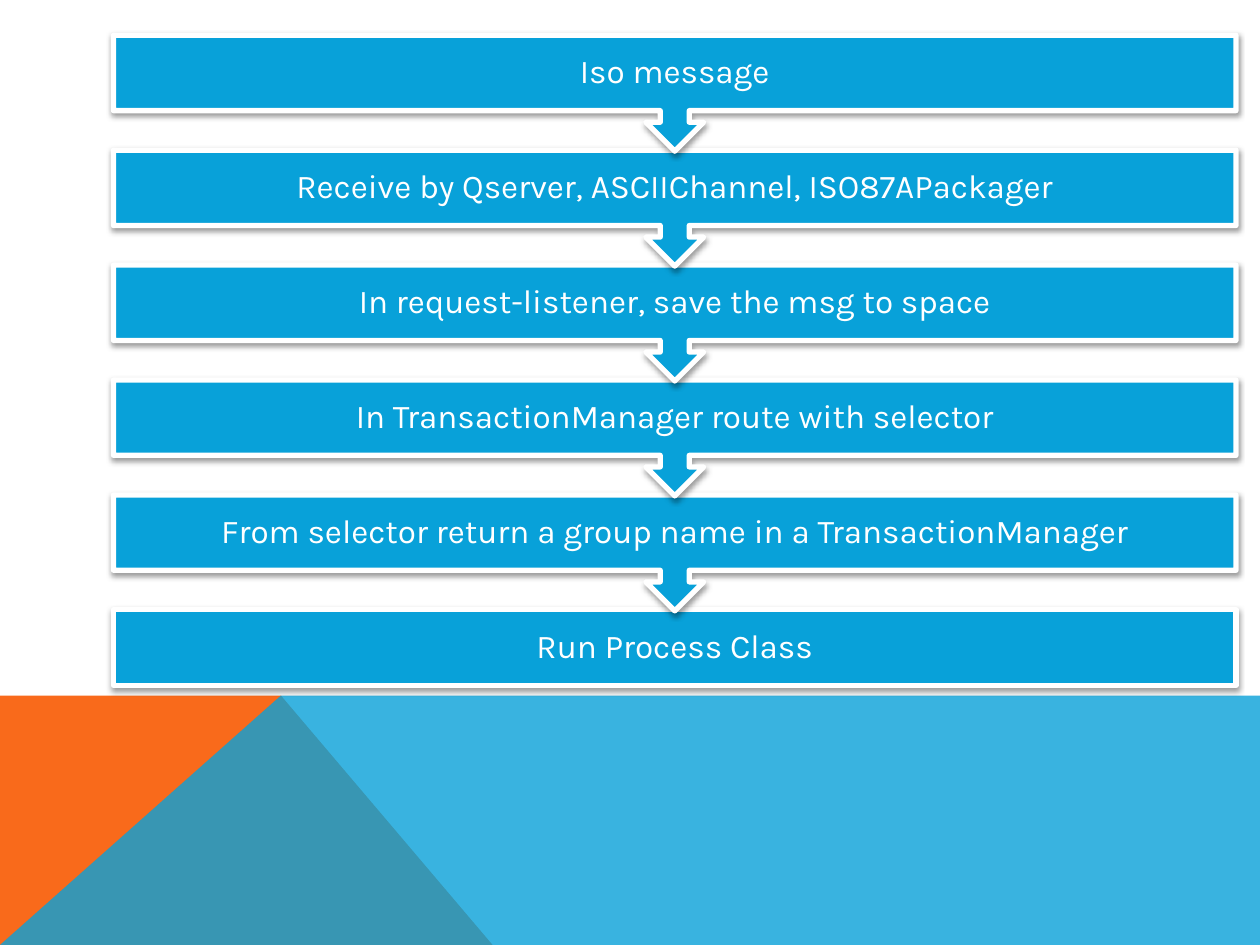
from lxml.etree import SubElement
from pptx import Presentation
from pptx.dml.color import RGBColor
from pptx.enum.shapes import MSO_SHAPE
from pptx.enum.text import MSO_ANCHOR, PP_ALIGN
from pptx.oxml.ns import qn
from pptx.util import Inches, Pt

BLUE, ORANGE, WHITE = "08A1D9", "F96A1B", "FFFFFF"
STEPS = [
    "Iso message",
    "Receive by Qserver, ASCIIChannel, ISO87APackager",
    "In request-listener, save the msg to space",
    "In TransactionManager route with selector",
    "From selector return a group name in a TransactionManager",
    "Run Process Class",
]


def color(hex_value):
    return RGBColor.from_string(hex_value)


def paint(shape, fill, line=None, width=0, alpha=None):
    shape.fill.solid()
    shape.fill.fore_color.rgb = color(fill)
    if alpha:
        fill_color = shape.fill._xPr.find(qn("a:solidFill"))[0]
        SubElement(fill_color, qn("a:alpha"), val=str(alpha * 1000))
    if line:
        shape.line.color.rgb = color(line)
        shape.line.width = Pt(width)
    else:
        shape.line.fill.background()
    shape.shadow.inherit = False


def add_soft_shadow(shape):
    effects = shape._element.spPr.find(qn("a:effectLst"))
    shadow = SubElement(effects, qn("a:outerShdw"), blurRad=str(Pt(3.1)),
                        dist=str(Pt(1.6)), dir="5400000", rotWithShape="0")
    shadow_color = SubElement(shadow, qn("a:srgbClr"), val="000000")
    SubElement(shadow_color, qn("a:alpha"), val="38000")


def add_text(shapes, text, left, top, width, height, size=19, font="Karla",
             fill=WHITE, inset=0.15, spacing=0.9):
    box = shapes.add_textbox(Inches(left), Inches(top), Inches(width), Inches(height))
    frame = box.text_frame
    frame.word_wrap = True
    frame.vertical_anchor = MSO_ANCHOR.MIDDLE
    frame.margin_left = frame.margin_right = Inches(inset)
    frame.margin_top = frame.margin_bottom = Inches(inset)
    paragraph = frame.paragraphs[0]
    paragraph.alignment = PP_ALIGN.CENTER
    paragraph.line_spacing = spacing
    run = paragraph.add_run()
    run.text = text
    run.font.size = Pt(size)
    run.font.name = font
    run.font.color.rgb = color(fill)


def add_polygon(shapes, points, fill, alpha=None):
    start, *others = [(Inches(x), Inches(y)) for x, y in points]
    builder = shapes.build_freeform(*start, scale=1.0)
    builder.add_line_segments(others, close=True)
    paint(builder.convert_to_shape(), fill, alpha=alpha)


def add_footer_band(shapes, left, top, width, height):
    right, bottom = left + width, top + height
    peak = (left + 2.23, top)
    add_polygon(shapes, [(left, bottom), (left, top), peak, (left + 3.91, bottom)], ORANGE)
    add_polygon(shapes, [(left, bottom), peak, (right, top), (right, bottom)], BLUE, alpha=80)


def add_process(shapes, steps, left, top, width, height, bar_height=0.6, callout_height=0.92):
    pitch = (height - bar_height) / (len(steps) - 1)
    group = shapes.add_group_shape().shapes
    for index, step in reversed(list(enumerate(steps))):
        is_last = index == len(steps) - 1
        step_top = top + index * pitch
        kind = MSO_SHAPE.RECTANGLE if is_last else MSO_SHAPE.UP_ARROW_CALLOUT
        step_height = bar_height if is_last else callout_height
        shape = group.add_shape(kind, Inches(left), Inches(step_top),
                                Inches(width), Inches(step_height))
        shape.rotation = 0 if is_last else 180
        paint(shape, BLUE, line=WHITE, width=3)
        add_soft_shadow(shape)
        add_text(group, step, left, step_top, width, bar_height)


def main():
    presentation = Presentation()
    presentation.slide_width = Inches(10)
    presentation.slide_height = Inches(7.5)
    slide = presentation.slides.add_slide(presentation.slide_layouts[6])
    add_footer_band(slide.shapes, 0, 5.52, 10, 1.98)
    add_process(slide.shapes, STEPS, 0.9, 0.28, 8.91, 5.16)
    presentation.save("out.pptx")


if __name__ == "__main__":
    main()
